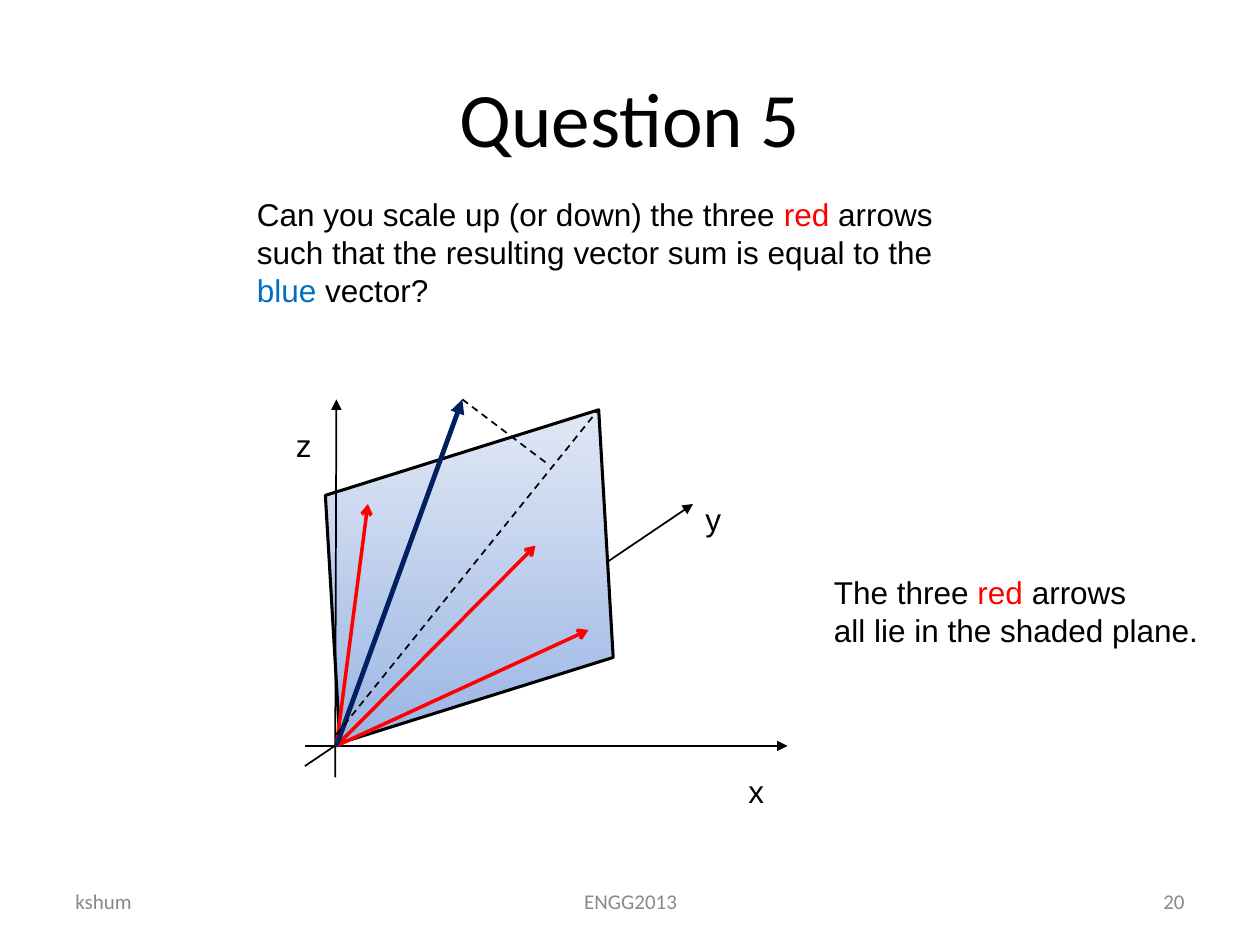
from dataclasses import dataclass
from typing import Optional

from lxml.etree import SubElement
from pptx import Presentation
from pptx.dml.color import RGBColor
from pptx.enum.dml import MSO_LINE
from pptx.enum.shapes import MSO_CONNECTOR, MSO_SHAPE
from pptx.enum.text import MSO_ANCHOR, MSO_AUTO_SIZE, PP_ALIGN
from pptx.oxml.ns import qn
from pptx.util import Inches, Pt

BLACK = RGBColor(0x00, 0x00, 0x00)
GRAY = RGBColor(0x89, 0x89, 0x89)
RED = RGBColor(0xFF, 0x00, 0x00)
BLUE = RGBColor(0x00, 0x70, 0xC0)
NAVY = RGBColor(0x00, 0x20, 0x60)
PLANE_DARK = RGBColor(0x9A, 0xB5, 0xE4)
PLANE_LIGHT = RGBColor(0xE1, 0xE8, 0xF5)

ORIGIN = (2.67, 5.92)
BLUE_TIP = (3.67, 3.17)


@dataclass
class Label:
    """Text at a place; each line is a list of (text, colour) spans."""
    bounds: tuple[float, float, float, float]
    lines: list[list[tuple[str, RGBColor]]]
    size: int = 18
    font: str = "Arial"
    align: PP_ALIGN = PP_ALIGN.LEFT
    anchor: MSO_ANCHOR = MSO_ANCHOR.TOP
    wrap: bool = False


@dataclass
class Segment:
    start: tuple[float, float]
    end: tuple[float, float]
    color: RGBColor = BLACK
    width: float = 1
    head: Optional[str] = "triangle"


Y_AXIS = Segment((2.42, 6.08), (5.5, 4))
AXES = [Segment((2.42, 5.92), (6.25, 5.92)), Segment((2.66, 6.17), (2.67, 3.17))]
VECTORS = [
    Segment(ORIGIN, tip, RED, 2, "arrow") for tip in [(2.92, 4), (4.25, 4.33), (4.67, 5)]
] + [Segment(ORIGIN, BLUE_TIP, NAVY, 2.75)]
DASHES = [
    Segment(BLUE_TIP, (4.33, 3.67), head=None),
    Segment((2.67, 5.83), (4.75, 3.25), head=None),
]

TITLE = Label((0.5, 0.3, 9, 1.25), [[("Question 5", BLACK)]], 44, "Calibri",
              PP_ALIGN.CENTER, MSO_ANCHOR.MIDDLE, True)
FOOTERS = [
    Label((left, 6.95, width, 0.4), [[(text, GRAY)]], 12, "Calibri",
          align, MSO_ANCHOR.MIDDLE, True)
    for left, width, text, align in [
        (0.5, 2.33, "kshum", PP_ALIGN.LEFT),
        (3.42, 3.17, "ENGG2013", PP_ALIGN.CENTER),
        (7.17, 2.33, "20", PP_ALIGN.RIGHT),
    ]
]
AXIS_NAMES = [
    Label((5.84, 6.08, 0.32, 0.4), [[("x", BLACK)]]),
    Label((5.5, 3.92, 0.58, 0.4), [[("y", BLACK)]], wrap=True),
    Label((2.25, 3.33, 0.32, 0.4), [[("z", BLACK)]]),
]
REMARKS = [
    Label((6.52, 4.5, 3.09, 0.7), [
        [("The three ", BLACK), ("red", RED), (" arrows", BLACK)],
        [("all lie in the shaded plane.", BLACK)],
    ]),
    Label((1.94, 1.5, 5.56, 1), [
        [("Can you scale up (or down) the three ", BLACK), ("red", RED), (" arrows", BLACK)],
        [("such that the resulting vector sum is equal to the", BLACK)],
        [("blue", BLUE), (" vector?", BLACK)],
    ]),
]


def draw_segment(page, segment: Segment) -> None:
    """Draw an arrow, or a dashed line where there is no head."""
    points = [Inches(value) for value in segment.start + segment.end]
    connector = page.shapes.add_connector(MSO_CONNECTOR.STRAIGHT, *points)
    line = connector.line
    line.color.rgb = segment.color
    line.width = Pt(segment.width)
    if segment.head:
        SubElement(line._get_or_add_ln(), qn("a:tailEnd"), type=segment.head)
    else:
        line.dash_style = MSO_LINE.DASH
    SubElement(connector._element.spPr, qn("a:effectLst"))


def draw_plane(page) -> None:
    bounds = [Inches(value) for value in (2.35, 3.62, 2.75, 1.91)]
    plane = page.shapes.add_shape(MSO_SHAPE.PARALLELOGRAM, *bounds)
    plane.shadow.inherit = False
    plane.rotation = 342.6
    plane.adjustments[0] = 0.25
    plane.fill.gradient()
    plane.fill.gradient_angle = 73
    for stop, color in zip(plane.fill.gradient_stops, (PLANE_DARK, PLANE_LIGHT)):
        stop.color.rgb = color
    plane.line.color.rgb = BLACK
    plane.line.width = Pt(1.75)


def draw_label(page, label: Label) -> None:
    box = page.shapes.add_textbox(*[Inches(value) for value in label.bounds])
    frame_format = {
        "word_wrap": label.wrap,
        "auto_size": MSO_AUTO_SIZE.NONE,
        "vertical_anchor": label.anchor,
    }
    for name, value in frame_format.items():
        setattr(box.text_frame, name, value)
    para = box.text_frame.paragraphs[0]
    para.alignment = label.align
    font_format = {"name": label.font, "size": Pt(label.size)}
    for index, line in enumerate(label.lines):
        if index:
            para.add_line_break()
        for text, color in line:
            span = para.add_run()
            span.text = text
            span.font.color.rgb = color
            for name, value in font_format.items():
                setattr(span.font, name, value)


def main() -> None:
    deck = Presentation()
    deck.slide_width, deck.slide_height = Inches(10), Inches(7.5)
    page = deck.slides.add_slide(deck.slide_layouts[6])
    draw_segment(page, Y_AXIS)
    draw_plane(page)
    for label in [TITLE] + FOOTERS:
        draw_label(page, label)
    for segment in AXES + VECTORS:
        draw_segment(page, segment)
    for label in AXIS_NAMES + REMARKS:
        draw_label(page, label)
    for segment in DASHES:
        draw_segment(page, segment)
    deck.save("out.pptx")


if __name__ == "__main__":
    main()
